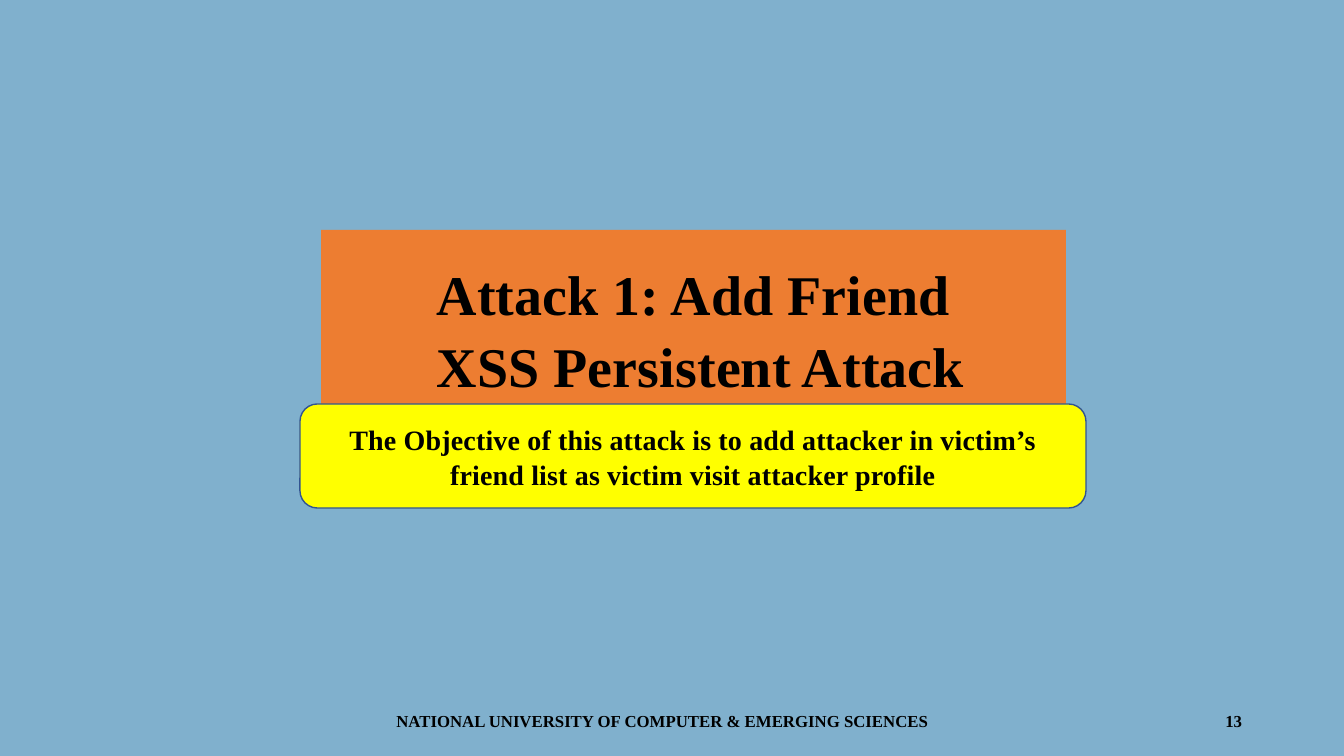
import pptx
import pptx.dml.color
import pptx.enum.shapes
import pptx.enum.text
import pptx.util

SHAPES = pptx.enum.shapes.MSO_SHAPE
ALIGN = pptx.enum.text.PP_ALIGN
ANCHOR = pptx.enum.text.MSO_ANCHOR
EMU_PER_PX = 914400 / 100.8


def px(length):
    return pptx.util.Emu(round(length * EMU_PER_PX))


class SlideBuilder:
    font = "Times New Roman"
    colors = {
        "background": "80B0CD",
        "title_panel": "ED7D31",
        "objective": "FFFF00",
        "outline": "325491",
        "text": "000000",
    }

    def __init__(self, presentation):
        self.slide = presentation.slides.add_slide(presentation.slide_layouts[6])
        self.paint(self.slide.background.fill, "background")

    def color(self, name):
        return pptx.dml.color.RGBColor.from_string(self.colors[name])

    def paint(self, fill, name):
        fill.solid()
        fill.fore_color.rgb = self.color(name)

    def add_panel(self, preset, box, fill, outline=None):
        shape = self.slide.shapes.add_shape(preset, *map(px, box))
        shape.shadow.inherit = False
        self.paint(shape.fill, fill)
        if outline:
            shape.line.color.rgb = self.color(outline)
            shape.line.width = pptx.util.Pt(1)
        else:
            shape.line.fill.background()
        return shape

    def add_text_box(self, box):
        return self.slide.shapes.add_textbox(*map(px, box))

    def set_text(self, shape, lines, size, align=ALIGN.CENTER, anchor=ANCHOR.MIDDLE,
                 spacing=1.0, gap=0, tracking=0):
        """Fill a shape with bold lines; gap is in points, tracking in 1/100 point."""
        frame = shape.text_frame
        frame.word_wrap = True
        frame.vertical_anchor = anchor
        for index, line in enumerate(lines):
            paragraph = frame.add_paragraph() if index else frame.paragraphs[0]
            run = paragraph.add_run()
            run.text = line
            if tracking:
                run._r.get_or_add_rPr().set("spc", str(tracking))
            paragraph.alignment = align
            paragraph.line_spacing = spacing
            paragraph.space_before = pptx.util.Pt(gap if index else 0)
            paragraph.font.name = self.font
            paragraph.font.size = pptx.util.Pt(size)
            paragraph.font.bold = True
            paragraph.font.color.rgb = self.color("text")
        return frame


def main():
    presentation = pptx.Presentation()
    presentation.slide_width, presentation.slide_height = px(1344), px(756)
    builder = SlideBuilder(presentation)

    builder.add_panel(SHAPES.RECTANGLE, (321, 230, 745, 175), "title_panel")
    title = builder.add_text_box((316, 253, 770, 139))
    frame = builder.set_text(title, ["Attack 1: Add Friend ", "XSS Persistent Attack"], 40,
                             anchor=ANCHOR.TOP, spacing=1.05, gap=1.1, tracking=10)
    frame.margin_left = frame.margin_right = frame.margin_bottom = 0
    frame.margin_top = px(3)

    page_number = builder.add_text_box((950, 701, 302, 40))
    builder.set_text(page_number, ["13"], 12, align=ALIGN.RIGHT)
    footer = builder.add_text_box((376, 701, 573, 40))
    builder.set_text(footer, ["NATIONAL UNIVERSITY OF COMPUTER & EMERGING SCIENCES"], 12)

    objective = builder.add_panel(SHAPES.ROUNDED_RECTANGLE, (300, 404, 786, 104),
                                  "objective", "outline")
    builder.set_text(objective, ["The Objective of this attack is to add attacker in victim’s "
                                 "friend list as victim visit attacker profile"], 20,
                     spacing=1.05, tracking=10)

    presentation.save("out.pptx")


if __name__ == "__main__":
    main()
